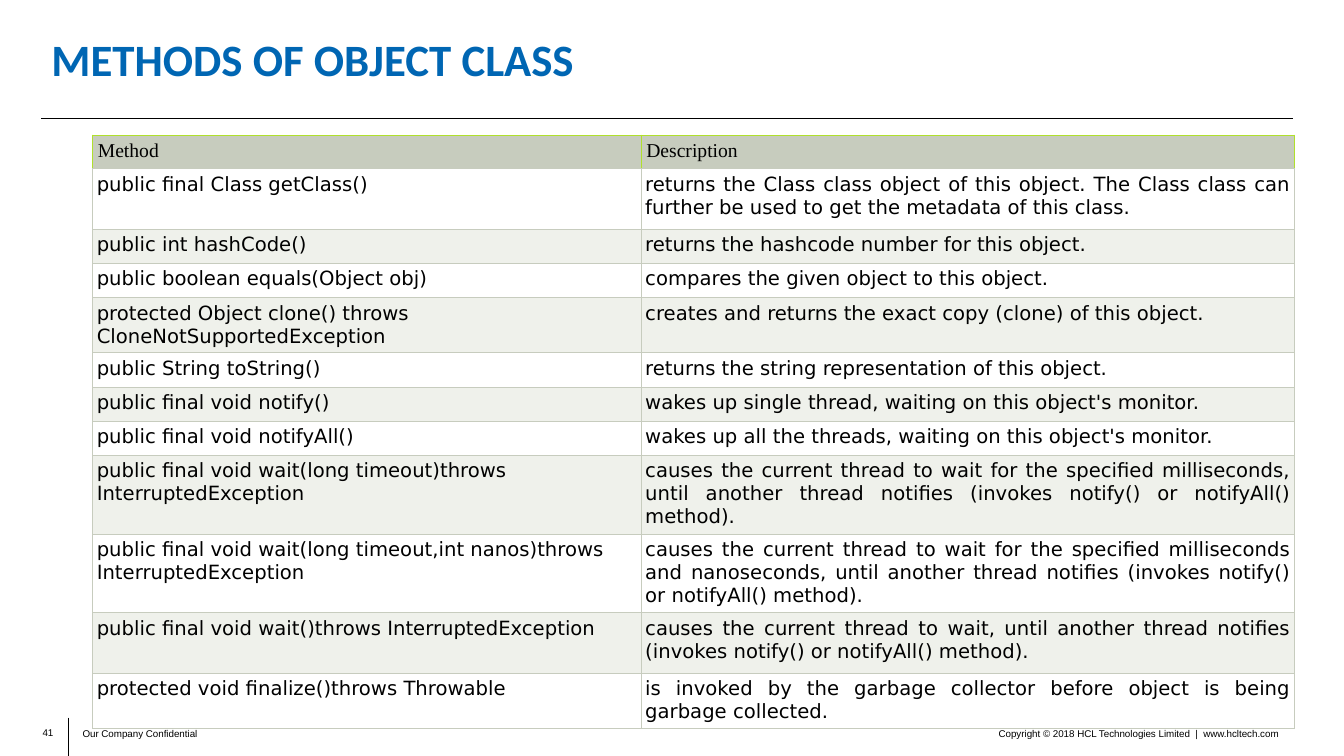
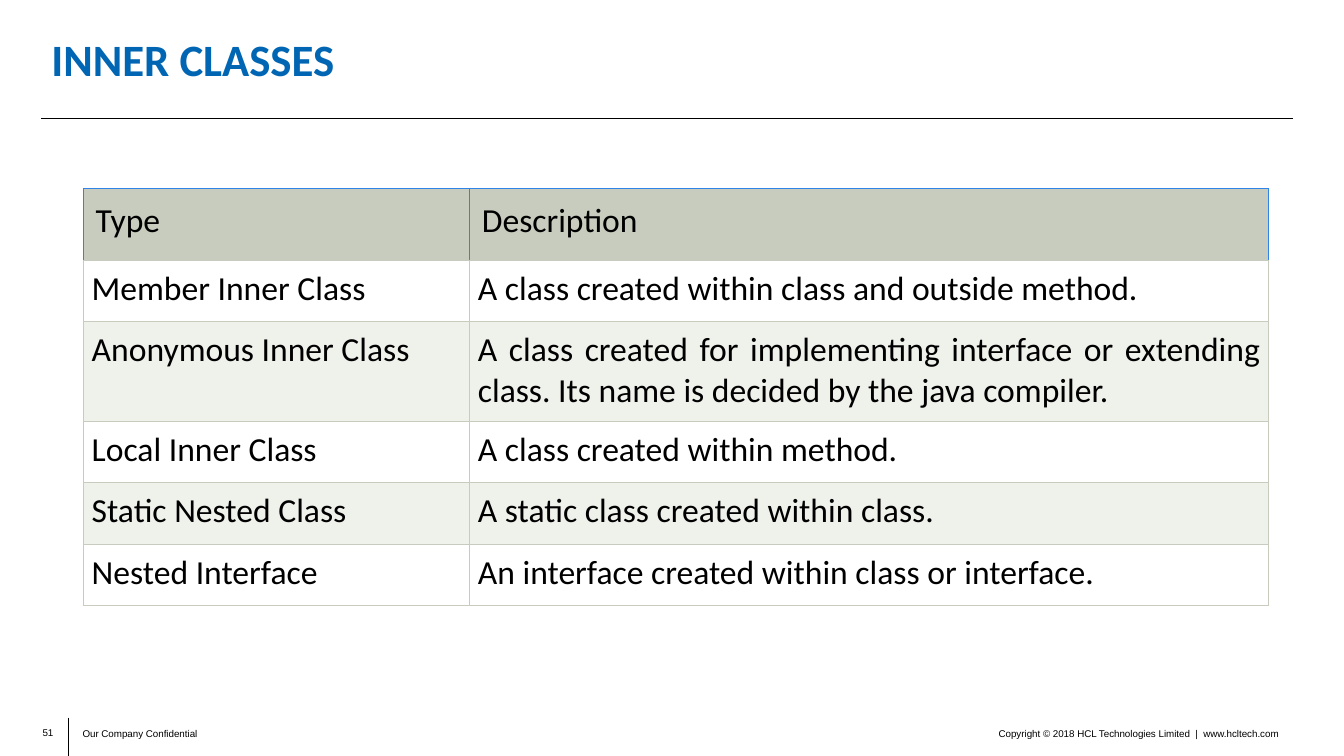
from dataclasses import dataclass

from lxml import etree
from pptx import Presentation
from pptx.dml.color import RGBColor
from pptx.enum.shapes import MSO_CONNECTOR
from pptx.enum.text import MSO_ANCHOR, MSO_AUTO_SIZE, PP_ALIGN
from pptx.oxml.ns import qn
from pptx.util import Inches, Pt

STRAIGHT = MSO_CONNECTOR.STRAIGHT
TOP, MIDDLE = MSO_ANCHOR.TOP, MSO_ANCHOR.MIDDLE
FIT_NONE = MSO_AUTO_SIZE.NONE
LEFT, RIGHT, JUSTIFY = PP_ALIGN.LEFT, PP_ALIGN.RIGHT, PP_ALIGN.JUSTIFY
TITLE_ONLY = 5


@dataclass(frozen=True)
class Theme:
    ink: str = "000000"
    title: str = "0066B3"
    header: str = "C7CCBE"
    bands: tuple = ("FFFFFF", "EFF1EB")
    title_font: str = "Calibri"
    footer_font: str = "Arial"
    title_size: float = 32
    footer_size: float = 7
    rule_width: float = 0.5
    border_width: float = 0.75


@dataclass(frozen=True)
class TableStyle:
    header_font: str
    body_font: str
    size: float
    header_inset: float
    body_inset: float
    accent: str
    alignments: tuple


THEME = Theme()
METHOD_STYLE = TableStyle("Times New Roman", "DejaVu Sans", 14, 0.05, 0.04,
                          "B0E02C", (LEFT, JUSTIFY))
CLASS_STYLE = TableStyle("Calibri", "Calibri", 24, 0.12, 0.08,
                         "3084E8", (JUSTIFY, JUSTIFY))

METHODS = [
    ("Method", "Description"),
    ("public final Class getClass()",
     "returns the Class class object of this object. The Class class can "
     "further be used to get the metadata of this class."),
    ("public int hashCode()", "returns the hashcode number for this object."),
    ("public boolean equals(Object obj)",
     "compares the given object to this object."),
    ("protected Object clone() throws CloneNotSupportedException",
     "creates and returns the exact copy (clone) of this object."),
    ("public String toString()",
     "returns the string representation of this object."),
    ("public final void notify()",
     "wakes up single thread, waiting on this object's monitor."),
    ("public final void notifyAll()",
     "wakes up all the threads, waiting on this object's monitor."),
    ("public final void wait(long timeout)throws InterruptedException",
     "causes the current thread to wait for the specified milliseconds, "
     "until another thread notifies (invokes notify() or notifyAll() method)."),
    ("public final void wait(long timeout,int nanos)throws InterruptedException",
     "causes the current thread to wait for the specified milliseconds and "
     "nanoseconds, until another thread notifies (invokes notify() or "
     "notifyAll() method)."),
    ("public final void wait()throws InterruptedException",
     "causes the current thread to wait, until another thread notifies "
     "(invokes notify() or notifyAll() method)."),
    ("protected void finalize()throws Throwable",
     "is invoked by the garbage collector before object is being garbage "
     "collected."),
]
INNER_CLASSES = [
    ("Type", "Description"),
    ("Member Inner Class", "A class created within class and outside method."),
    ("Anonymous Inner Class",
     "A class created for implementing interface or extending class. "
     "Its name is decided by the java compiler."),
    ("Local Inner Class", "A class created within method."),
    ("Static Nested Class", "A static class created within class."),
    ("Nested Interface", "An interface created within class or interface."),
]


def format_para(para, font, size, color, align=LEFT, bold=False):
    para.alignment = align
    for span in para.runs:
        span.font.name = font
        span.font.size = Pt(size)
        span.font.bold = bold
        span.font.color.rgb = RGBColor.from_string(color)


def place(shape, area):
    shape.left, shape.top, shape.width, shape.height = map(Inches, area)


def add_rule(page, start, end):
    rule = page.shapes.add_connector(STRAIGHT, *map(Inches, start + end))
    rule.line.color.rgb = RGBColor.from_string(THEME.ink)
    rule.line.width = Pt(THEME.rule_width)
    etree.SubElement(rule.element.spPr, qn("a:effectLst"))


def add_footer_text(page, area, text, align=LEFT, anchor=TOP, inset=None):
    box = page.shapes.add_textbox(*map(Inches, area))
    frame = box.text_frame
    frame.text = text
    frame.word_wrap = inset is None
    frame.vertical_anchor = anchor
    if inset is not None:
        frame.margin_left = frame.margin_right = Inches(inset)
        frame.margin_top = frame.margin_bottom = Inches(inset)
    format_para(frame.paragraphs[0], THEME.footer_font, THEME.footer_size,
                THEME.ink, align)


def add_footer(page, area, number):
    """Page number, divider, confidentiality note and copyright line."""
    left, top, width, height = area
    divider = left + 0.27
    text_top = top + 0.05
    add_footer_text(page, (left, top + 0.09, 0.12, 0.11), str(number),
                    RIGHT, MIDDLE, inset=0)
    add_rule(page, (divider, top), (divider, top + height))
    add_footer_text(page, (left + width - 5.05, text_top, 5.01, 0.21),
                    "Copyright © 2018 HCL Technologies Limited  |  www.hcltech.com",
                    RIGHT)
    add_footer_text(page, (divider + 0.04, text_top, 3.18, 0.19),
                    "Our Company Confidential")


def add_title(page, area, text):
    """Title placeholder with the rule below it."""
    left, top, width, height = area
    title = page.shapes.title
    place(title, (left, top, 11.46, 0.67))
    frame = title.text_frame
    frame.text = text
    frame.auto_size = FIT_NONE
    frame.vertical_anchor = MIDDLE
    para = frame.paragraphs[0]
    para.line_spacing = 0.9
    format_para(para, THEME.title_font, THEME.title_size, THEME.title, bold=True)
    add_rule(page, (left, top + height), (left + width, top + height))


def set_borders(cell, colors):
    """Cell borders in the order left, right, top, bottom."""
    properties = cell._tc.get_or_add_tcPr()
    for index, (side, color) in enumerate(zip("LRTB", colors)):
        line = etree.Element(qn(f"a:ln{side}"), w=str(Pt(THEME.border_width)))
        fill = etree.SubElement(line, qn("a:solidFill"))
        etree.SubElement(fill, qn("a:srgbClr"), val=color)
        properties.insert(index, line)


def fill_cell(cell, text, row, align, style):
    is_header = row == 0
    inset = Inches(style.header_inset if is_header else style.body_inset)
    cell.margin_left = cell.margin_right = inset
    cell.margin_top = cell.margin_bottom = inset
    cell.text_frame.text = text
    format_para(cell.text_frame.paragraphs[0],
                style.header_font if is_header else style.body_font,
                style.size, THEME.ink, LEFT if is_header else align)
    cell.fill.solid()
    color = THEME.header if is_header else THEME.bands[(row - 1) % 2]
    cell.fill.fore_color.rgb = RGBColor.from_string(color)
    edge = style.accent if is_header else THEME.header
    set_borders(cell, (edge, edge, edge, THEME.header))


def add_banded_table(page, origin, columns, heights, rows, style):
    area = (*origin, sum(columns), sum(heights))
    table = page.shapes.add_table(len(rows), len(columns),
                                  *map(Inches, area)).table
    table.first_row = table.horz_banding = False
    for column, width in zip(table.columns, columns):
        column.width = Inches(width)
    for row, (texts, height) in enumerate(zip(rows, heights)):
        table.rows[row].height = Inches(height)
        for col, (text, align) in enumerate(zip(texts, style.alignments)):
            fill_cell(table.cell(row, col), text, row, align, style)


def add_table_page(deck, number, title, **table):
    page = deck.slides.add_slide(deck.slide_layouts[TITLE_ONLY])
    add_footer(page, (0.41, 7.12, 12.41, 0.38), number)
    add_title(page, (0.41, 0.28, 12.41, 0.89), title)
    add_banded_table(page, **table)


def main():
    deck = Presentation()
    deck.slide_width, deck.slide_height = Inches(13.33), Inches(7.5)
    add_table_page(
        deck, 41, "METHODS OF OBJECT CLASS",
        origin=(0.92, 1.34), columns=(5.44, 6.48),
        heights=(0.24, 0.6, *[0.34] * 6, 0.73, 0.73, 0.6, 0.47),
        rows=METHODS, style=METHOD_STYLE)
    add_table_page(
        deck, 51, "INNER CLASSES",
        origin=(0.83, 1.87), columns=(3.83, 7.92),
        heights=(0.71, 0.61, 0.99, *[0.61] * 3),
        rows=INNER_CLASSES, style=CLASS_STYLE)
    deck.save("out.pptx")


if __name__ == "__main__":
    main()
